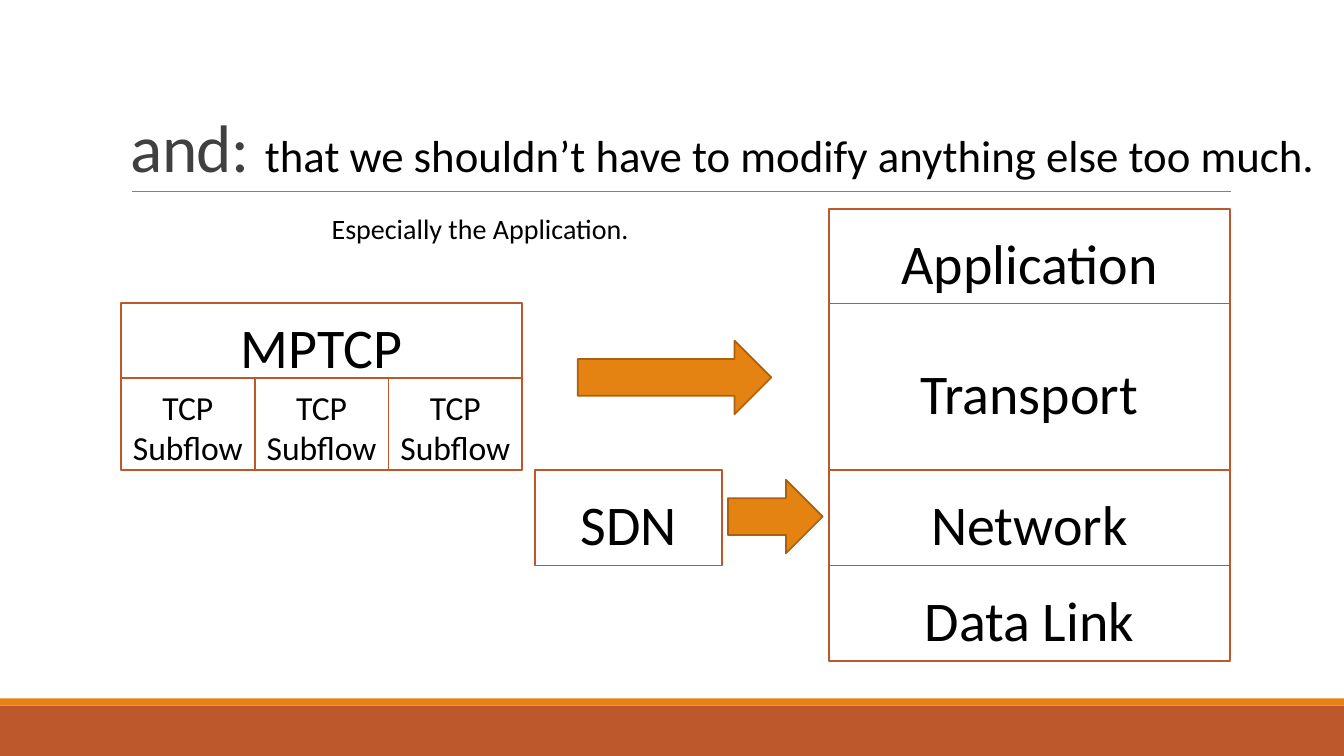
from pptx import Presentation
from pptx.dml.color import RGBColor
from pptx.enum.shapes import MSO_CONNECTOR, MSO_SHAPE
from pptx.enum.text import MSO_ANCHOR, PP_ALIGN
from pptx.oxml.ns import qn
from pptx.util import Inches, Pt
from lxml.etree import SubElement

RUST, ORANGE, BROWN = "BD582C", "E48312", "A9610D"
WHITE, BLACK, CHARCOAL, GRAY = "FFFFFF", "000000", "404040", "808080"

deck = Presentation()
deck.slide_width, deck.slide_height = Inches(13.33), Inches(7.5)
page = deck.slides.add_slide(deck.slide_layouts[6])


def add_block(kind, area, fill, line=None):
    block = page.shapes.add_shape(kind, *map(Inches, area))
    block.shadow.inherit = False
    block.fill.solid()
    block.fill.fore_color.rgb = RGBColor.from_string(fill)
    if line:
        block.line.color.rgb = RGBColor.from_string(line)
        block.line.width = Pt(1.25)
    else:
        block.line.fill.background()
    return block


def write(shape, text, size, color=BLACK, wrap=True):
    """Set the text of a shape as one formatted run and return its paragraph."""
    frame = shape.text_frame
    frame.text = text
    frame.word_wrap = wrap
    para = frame.paragraphs[0]
    font = para.runs[0].font
    font.name, font.size = "Calibri", Pt(size)
    font.color.rgb = RGBColor.from_string(color)
    return para


# Footer bands and the rule under the title
add_block(MSO_SHAPE.RECTANGLE, (0, 7, 13.33, 0.5), RUST)
add_block(MSO_SHAPE.RECTANGLE, (0, 6.93, 13.33, 0.07), ORANGE)
rule = page.shapes.add_connector(
    MSO_CONNECTOR.STRAIGHT, Inches(1.31), Inches(1.9), Inches(12.21), Inches(1.9))
rule.line.color.rgb = RGBColor.from_string(GRAY)
rule.line.width = Pt(0.5)
SubElement(rule._element.spPr, qn("a:effectLst"))

# Title
title = page.shapes.add_textbox(*map(Inches, (1.2, 0.31, 11, 1.59)))
title.text_frame.vertical_anchor = MSO_ANCHOR.BOTTOM
para = write(title, "and:", 48, CHARCOAL)
para.line_spacing = 0.85
para.runs[0].font._element.set("spc", "-50")

# Layer stack on the right, multipath stack on the left, SDN beside the network layer
left, stack_left, stack_width = 1.2, 8.22, 3.98
layer_height, transport_top, network_top = 0.95, 3.01, 4.66
subflow_top, subflow_width = 3.75, stack_width / 3

boxes = [
    ("MPTCP", left, transport_top, stack_width, subflow_top - transport_top, 40),
    ("Application", stack_left, 2.07, stack_width, layer_height, 40),
    ("Transport", stack_left, transport_top, stack_width, network_top - transport_top, 40),
    ("Network", stack_left, network_top, stack_width, layer_height, 40),
    ("Data Link", stack_left, network_top + layer_height, stack_width, layer_height, 40),
    ("SDN", 5.31, network_top, 1.85, layer_height, 40),
]
boxes += [("TCP Subflow", left + column * subflow_width, subflow_top,
           subflow_width, network_top - subflow_top, 24) for column in range(3)]

for label, *area, size in boxes:
    box = add_block(MSO_SHAPE.RECTANGLE, area, WHITE, RUST)
    write(box, label, size, wrap=size < 40).alignment = PP_ALIGN.CENTER
    box.text_frame.vertical_anchor = MSO_ANCHOR.MIDDLE
    box.text_frame.margin_top = Pt(3.6 + 0.2 * size)

for area in ((5.73, 3.38, 1.92, 0.73), (7.22, 4.76, 0.94, 0.73)):
    add_block(MSO_SHAPE.RIGHT_ARROW, area, ORANGE, BROWN)

# Statement beside the title and the remark below it
statement = page.shapes.add_textbox(*map(Inches, (2.53, 1.22, 10.66, 0.64)))
write(statement, "that we shouldn’t have to modify anything else too much.", 32)
remark = page.shapes.add_textbox(*map(Inches, (3.19, 2.05, 3.18, 0.44)))
write(remark, "Especially the Application.", 20, wrap=False)

deck.save("out.pptx")
